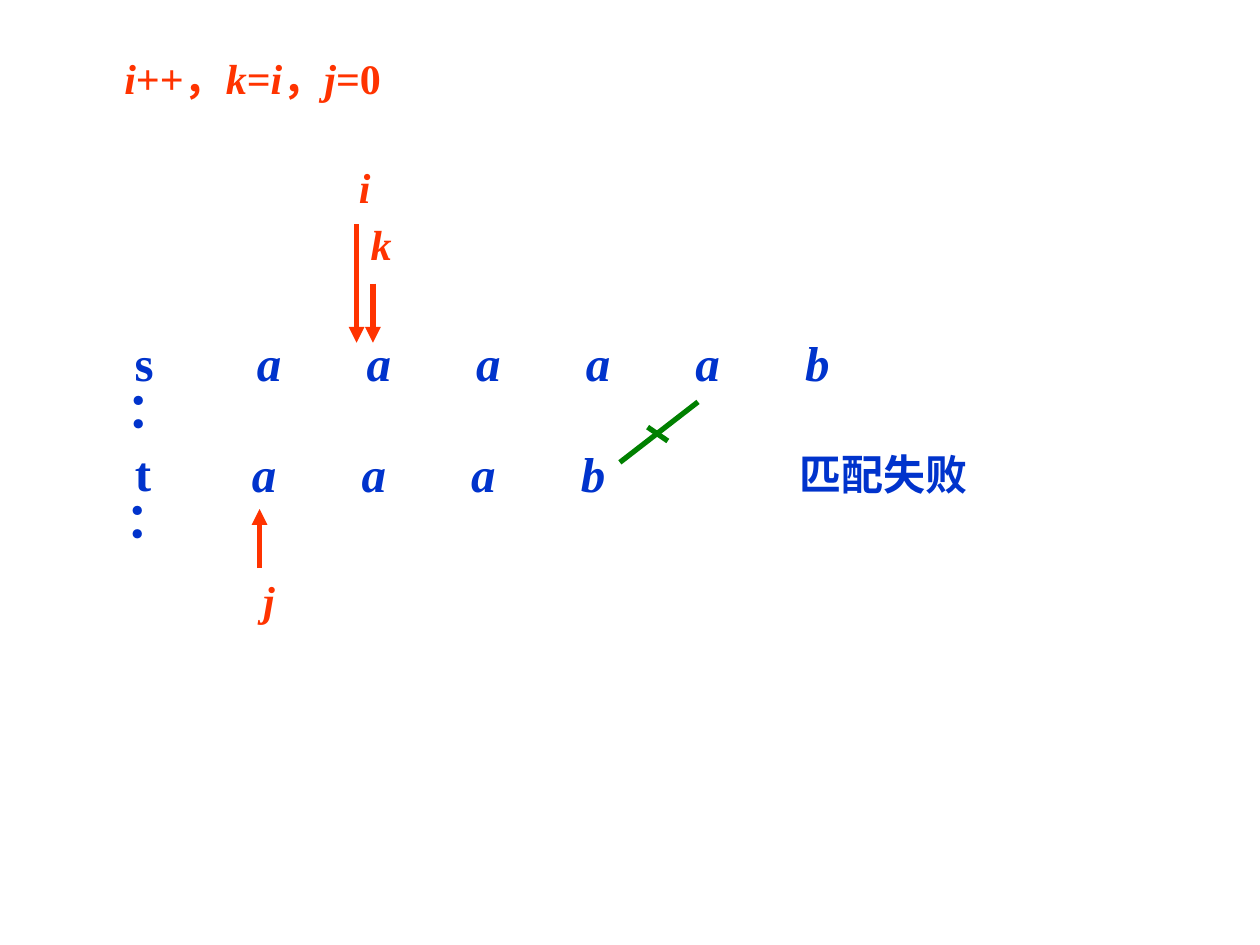
from typing import NamedTuple

from lxml.etree import SubElement
from pptx import Presentation
from pptx.dml.color import RGBColor
from pptx.enum.shapes import MSO_CONNECTOR
from pptx.enum.text import MSO_ANCHOR, MSO_AUTO_SIZE, PP_ALIGN
from pptx.oxml.ns import qn
from pptx.util import Inches, Pt

BLUE, RED, GREEN = "0033CC", "FF3300", "008000"
FONT = "Times New Roman"
PITCH = 0.87  # distance between neighbouring letters


class Run(NamedTuple):
    text: str
    italic: bool = False


class Box(NamedTuple):
    left: float
    top: float
    width: float
    height: float


class Label(NamedTuple):
    box: Box
    text: str
    size: int


class Row(NamedTuple):
    box: Box
    inset: float
    letters: str


class Pointer(NamedTuple):
    name: str
    box: Box
    x: float
    start: float
    end: float


HEAD = [
    Run("i", True), Run("++，"), Run("k", True), Run("="),
    Run("i", True), Run("，"), Run("j", True), Run("=0"),
]
ROWS = [
    Row(Box(1.61, 2.68, 5.43, 0.57), 0.43, "aaaaab"),
    Row(Box(1.68, 3.56, 3.46, 0.57), 0.32, "aaab"),
]
LABELS = [
    Label(Box(0.91, 2.68, 0.47, 0.57), "s：", 28),
    Label(Box(0.9, 3.55, 0.47, 0.57), "t：", 28),
    Label(Box(5.87, 3.59, 2.28, 0.5), "匹配失败", 24),
]
POINTERS = [
    Pointer("i", Box(2.66, 1.31, 0.47, 0.5), 2.83, 1.78, 2.72),
    Pointer("j", Box(1.9, 4.59, 0.47, 0.5), 2.06, 4.51, 4.04),
    Pointer("k", Box(2.79, 1.76, 0.47, 0.5), 2.96, 2.25, 2.72),
]
MISMATCH = [(5.54, 3.19, 4.92, 3.67), (5.14, 3.39, 5.3, 3.5)]


def tint(color, code: str) -> None:
    color.rgb = RGBColor.from_string(code)


def write(shape, runs: list[Run], size: int, code: str):
    """Fill a shape with one centred bold paragraph and return it."""
    frame = shape.text_frame
    frame.word_wrap = True
    frame.auto_size = MSO_AUTO_SIZE.SHAPE_TO_FIT_TEXT
    frame.vertical_anchor = MSO_ANCHOR.TOP
    para = frame.paragraphs[0]
    para.alignment = PP_ALIGN.CENTER
    para.line_spacing = 0.8
    before = SubElement(para._p.get_or_add_pPr(), qn("a:spcBef"))
    SubElement(before, qn("a:spcPct"), val="50000")
    for item in runs:
        run = para.add_run()
        run.text = item.text
        font = run.font
        font.name, font.size = FONT, Pt(size)
        font.bold, font.italic = True, item.italic
        tint(font.color, code)
    return para


def add_text(shapes, box: Box, runs: list[Run], size: int, code: str):
    shape = shapes.add_textbox(*map(Inches, box))
    write(shape, runs, size, code)
    return shape


def add_row(shapes, row: Row) -> None:
    """Set the letters of a string at equal tab stops."""
    shape = add_text(shapes, row.box, [Run("\t".join(row.letters), True)], 28, BLUE)
    frame = shape.text_frame
    frame.margin_left, frame.margin_right = Inches(row.inset), 0
    para = frame.paragraphs[0]
    para.alignment = PP_ALIGN.LEFT
    tabs = SubElement(para._p.get_or_add_pPr(), qn("a:tabLst"))
    for n in range(1, len(row.letters)):
        SubElement(tabs, qn("a:tab"), pos=str(Inches(n * PITCH)), algn="l")


def add_line(shapes, ends: tuple, code: str, arrow: bool = False) -> None:
    line = shapes.add_connector(MSO_CONNECTOR.STRAIGHT, *map(Inches, ends))
    line.line.width = Pt(3)
    tint(line.line.color, code)
    if arrow:
        SubElement(line.line._get_or_add_ln(), qn("a:tailEnd"), type="triangle")
    SubElement(line._element.spPr, qn("a:effectLst"))


def add_pointer(shapes, mark: Pointer) -> None:
    group = shapes.add_group_shape().shapes
    add_line(group, (mark.x, mark.start, mark.x, mark.end), RED, arrow=True)
    add_text(group, mark.box, [Run(mark.name, True)], 24, RED)


def main() -> None:
    deck = Presentation()
    deck.slide_width, deck.slide_height = Inches(10), Inches(7.5)
    shapes = deck.slides.add_slide(deck.slide_layouts[5]).shapes

    title = shapes.title
    title.left, title.top, title.width, title.height = map(
        Inches, Box(0.35, 0.44, 3.31, 0.5))
    write(title, HEAD, 24, RED)

    for row in ROWS:
        add_row(shapes, row)
    for label in LABELS:
        add_text(shapes, label.box, [Run(label.text)], label.size, BLUE)
    for mark in POINTERS:
        add_pointer(shapes, mark)
    cross = shapes.add_group_shape().shapes
    for ends in MISMATCH:
        add_line(cross, ends, GREEN)

    deck.save("out.pptx")


if __name__ == "__main__":
    main()
